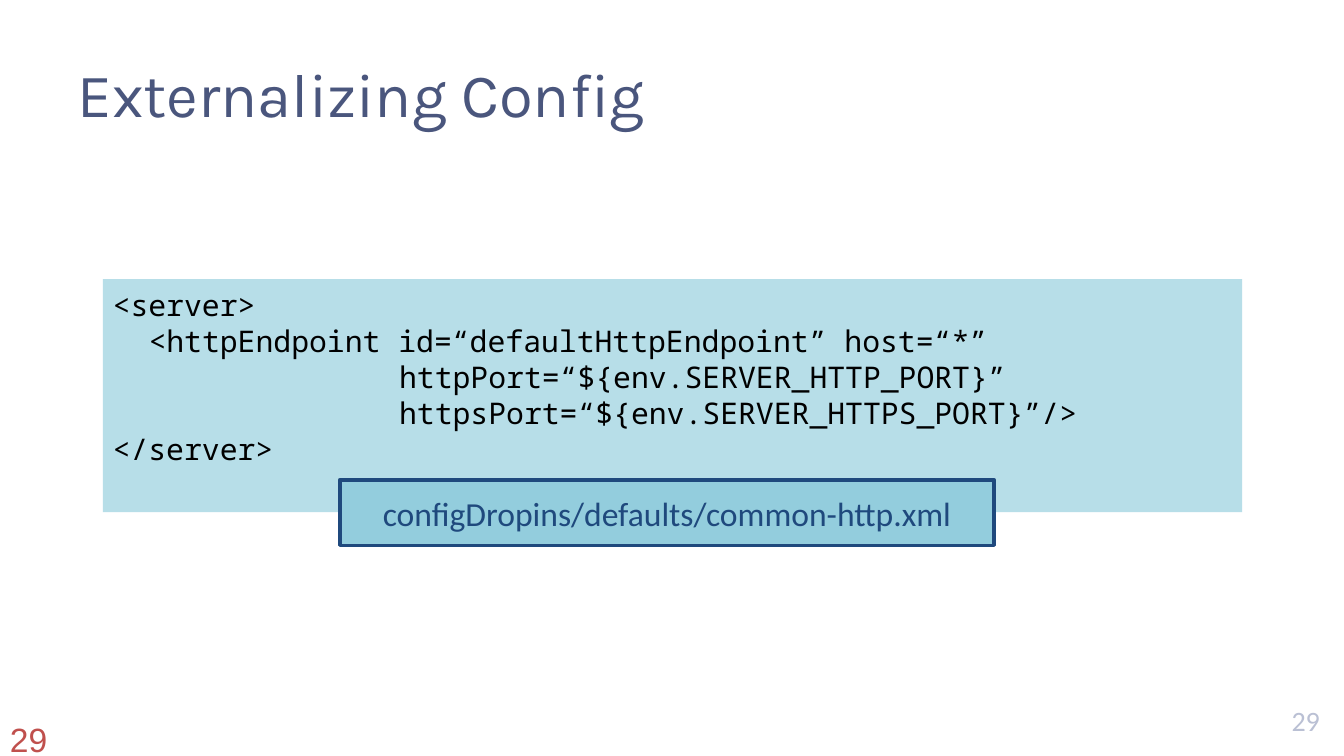
from pptx import Presentation
from pptx.dml.color import RGBColor
from pptx.enum.shapes import MSO_SHAPE as SHAPE
from pptx.enum.text import MSO_ANCHOR as ANCHOR, PP_ALIGN as ALIGN
from pptx.util import Inches, Pt

SLATE = RGBColor(0x4A, 0x56, 0x7D)
PALE_SLATE = RGBColor(0xBA, 0xC0, 0xD4)
RED = RGBColor(0xC0, 0x50, 0x4D)
BLACK = RGBColor(0x00, 0x00, 0x00)
NAVY = RGBColor(0x1F, 0x49, 0x7D)
LIGHT_AQUA = RGBColor(0xB7, 0xDE, 0xE8)
AQUA = RGBColor(0x93, 0xCD, 0xDD)

CODE_CHAR = 0.1775
CODE_LINES = [
    (0, "<server>"),
    (2, "<httpEndpoint id=“defaultHttpEndpoint” host=“*”"),
    (16, "httpPort=“${env.SERVER_HTTP_PORT}”"),
    (16, "httpsPort=“${env.SERVER_HTTPS_PORT}”/>"),
    (0, "</server>"),
]


def style(p, font, size, color, align=ALIGN.LEFT):
    p.alignment = align
    p.font.name = font
    p.font.size = Pt(size)
    p.font.color.rgb = color


def add_title(slide, text):
    sp = slide.shapes.title
    sp.left, sp.top = Inches(0.67), Inches(0.3)
    sp.width, sp.height = Inches(12), Inches(1.25)
    tf = sp.text_frame
    tf.text = text
    tf.vertical_anchor = ANCHOR.MIDDLE
    style(tf.paragraphs[0], "Karla", 44, SLATE)


def add_number(slide, box, font, size, color, align):
    tf = slide.shapes.add_textbox(*map(Inches, box)).text_frame
    tf.word_wrap = True
    tf.text = "29"
    style(tf.paragraphs[0], font, size, color, align)


def add_box(slide, box, fill):
    sp = slide.shapes.add_shape(SHAPE.RECTANGLE, *map(Inches, box))
    sp.shadow.inherit = False
    sp.fill.solid()
    sp.fill.fore_color.rgb = fill
    sp.line.fill.background()
    sp.text_frame.word_wrap = True
    return sp


def add_code(slide, box, lines):
    tf = add_box(slide, box, LIGHT_AQUA).text_frame
    tf.vertical_anchor = ANCHOR.TOP
    tf.margin_top = Inches(0.07)
    tf.text = "\n".join(text for _, text in lines)
    for p, (indent, _) in zip(tf.paragraphs, lines):
        style(p, "Noto Sans Mono", 21.3, BLACK)
        p.line_spacing = Pt(25.7)
        p._p.get_or_add_pPr().set("marL", str(Inches(indent * CODE_CHAR)))


def add_file_label(slide, box, text):
    sp = add_box(slide, box, AQUA)
    sp.line.color.rgb = NAVY
    sp.line.width = Pt(2.5)
    tf = sp.text_frame
    tf.vertical_anchor = ANCHOR.MIDDLE
    tf.text = text
    style(tf.paragraphs[0], "Calibri", 24, NAVY, ALIGN.CENTER)


def main():
    prs = Presentation()
    prs.slide_width, prs.slide_height = Inches(13.33), Inches(7.5)
    slide = prs.slides.add_slide(prs.slide_layouts[5])
    add_number(slide, (11.74, 6.93, 1.45, 0.44), "Calibri", 20, PALE_SLATE, ALIGN.RIGHT)
    add_title(slide, "Externalizing Config")
    add_number(slide, (0, 7.08, 0.64, 0.27), "Arial", 24, RED, ALIGN.LEFT)
    add_code(slide, (1.02, 2.77, 11.3, 2.31), CODE_LINES)
    add_file_label(slide, (3.37, 4.76, 6.49, 0.65), "configDropins/defaults/common-http.xml")
    prs.save("out.pptx")


if __name__ == "__main__":
    main()
